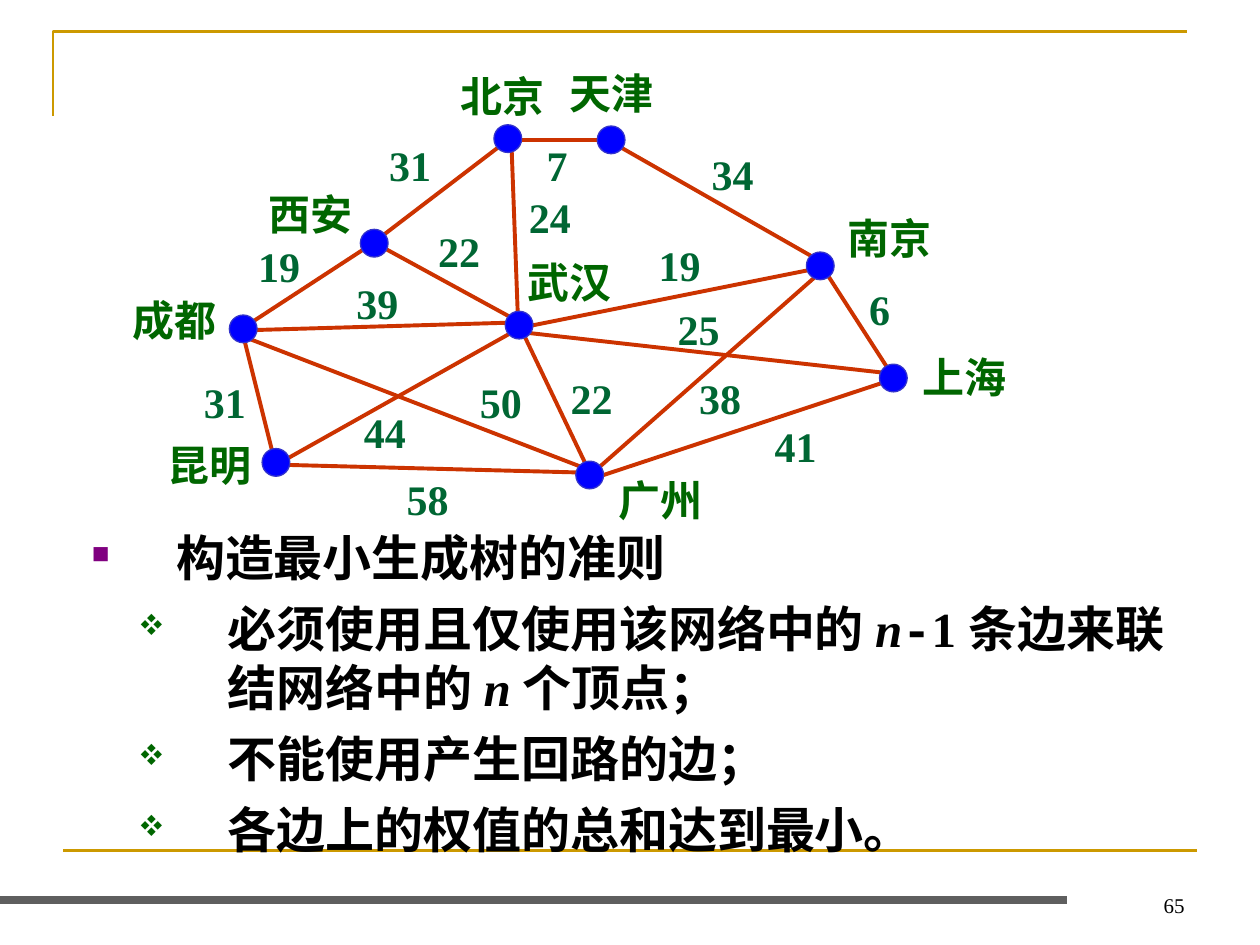
import pptx
import pptx.util
import pptx.dml.color
import pptx.enum.shapes
import pptx.enum.text
import pptx.oxml.ns
from lxml import etree

Inches = pptx.util.Inches
Pt = pptx.util.Pt
SERIF = "Times New Roman"
COLORS = {
    "gold": "CC9900", "gray": "5F5F5F", "edge": "CC3300", "dot": "0000FF",
    "rim": "3333CC", "city": "006600", "weight": "006633", "mark": "800080",
    "text": "000000",
}
DOT = 0.22

# City: dot corner, label corner
CITIES = {
    "武汉": ((4.01, 2.47), (4.09, 1.99)),
    "昆明": ((2.08, 3.56), (1.23, 3.44)),
    "南京": ((6.40, 2.00), (6.63, 1.64)),
    "北京": ((3.92, 0.99), (3.56, 0.51)),
    "上海": ((6.98, 2.89), (7.22, 2.74)),
    "成都": ((1.82, 2.50), (0.95, 2.29)),
    "西安": ((2.86, 1.82), (2.03, 1.45)),
    "广州": ((4.57, 3.66), (4.81, 3.72)),
    "天津": ((4.74, 1.00), (4.42, 0.49)),
}

# Edge: start, end, weight, label corner
EDGES = [
    ((4.14, 2.62), (4.68, 3.75), 22, (4.43, 2.91)),
    ((2.01, 2.55), (2.93, 1.95), 19, (1.95, 1.86)),
    ((3.05, 1.86), (3.98, 1.15), 31, (2.99, 1.06)),
    ((2.17, 3.62), (1.92, 2.62), 31, (1.52, 2.94)),
    ((2.28, 3.64), (4.06, 2.64), 44, (2.79, 3.18)),
    ((4.06, 1.16), (4.11, 2.51), 24, (4.10, 1.47)),
    ((4.19, 2.59), (6.44, 2.14), 19, (5.13, 1.85)),
    ((4.72, 3.74), (6.49, 2.18), 38, (5.45, 2.91)),
    ((6.56, 2.17), (7.05, 2.93), 6, (6.80, 2.20)),
    ((4.76, 3.78), (7.06, 3.02), 41, (6.05, 3.29)),
    ((2.28, 3.69), (4.60, 3.75), 58, (3.13, 3.71)),
    ((2.01, 2.62), (4.08, 2.56), 39, (2.73, 2.15)),
    ((3.05, 1.97), (4.13, 2.56), 22, (3.38, 1.74)),
    ((1.98, 2.69), (4.65, 3.72), 50, (3.71, 2.94)),
    ((4.17, 2.64), (7.03, 2.96), 25, (5.28, 2.36)),
    ((4.13, 1.11), (4.74, 1.11), 7, (4.24, 1.06)),
    ((4.91, 1.16), (6.47, 2.05), 34, (5.55, 1.13)),
]

# Rule: level, runs of (text, font, italic)
RULES = [
    (0, [("构造最小生成树的准则", "Arial", False)]),
    (1, [("必须使用且仅使用该网络中的 ", SERIF, False), ("n", SERIF, True),
         ("-", "Courier New", False), ("1 条边来联结网络中的 ", SERIF, False),
         ("n ", SERIF, True), ("个顶点；", SERIF, False)]),
    (1, [("不能使用产生回路的边；", SERIF, False)]),
    (1, [("各边上的权值的总和达到最小。", SERIF, False)]),
]

# Level: left margin, hanging indent, Wingdings bullet, colour, percent
LEVELS = [(0.67, 0.67, "n", "mark", 50), (1.08, 0.71, "v", "city", 60)]


def rgb(name):
    return pptx.dml.color.RGBColor.from_string(COLORS[name])


def style(run, size, color, font=SERIF, bold=True, italic=False):
    run.font.size = Pt(size)
    run.font.name = font
    run.font.bold = bold
    run.font.italic = italic
    run.font.color.rgb = rgb(color)


def add_line(shapes, start, end, color, width):
    kind = pptx.enum.shapes.MSO_CONNECTOR.STRAIGHT
    line = shapes.add_connector(kind, *map(Inches, start + end))
    line.line.color.rgb = rgb(color)
    line.line.width = Pt(width)
    props = line._element.spPr
    etree.SubElement(props, pptx.oxml.ns.qn("a:effectLst"))


def add_dot(shapes, spot):
    kind = pptx.enum.shapes.MSO_SHAPE.OVAL
    dot = shapes.add_shape(kind, *map(Inches, spot + (DOT, DOT)))
    dot.shadow.inherit = False
    dot.fill.solid()
    dot.fill.fore_color.rgb = rgb("dot")
    dot.line.color.rgb = rgb("rim")
    dot.line.width = Pt(0.75)


def add_label(shapes, spot, text, width, color):
    box = shapes.add_textbox(*map(Inches, spot + (width, 0.5)))
    frame = box.text_frame
    frame.text = text
    frame.word_wrap = False
    frame.auto_size = pptx.enum.text.MSO_AUTO_SIZE.SHAPE_TO_FIT_TEXT
    style(frame.paragraphs[0].runs[0], 24, color)


def set_bullet(para, level):
    left, hang, char, color, size = LEVELS[level]
    props = para._p.get_or_add_pPr()
    props.set("marL", str(Inches(left)))
    props.set("indent", str(-Inches(hang)))
    qn = pptx.oxml.ns.qn
    tint = etree.SubElement(props, qn("a:buClr"))
    etree.SubElement(tint, qn("a:srgbClr"), val=COLORS[color])
    etree.SubElement(props, qn("a:buSzPct"), val=str(size * 1000))
    etree.SubElement(props, qn("a:buFont"), typeface="Wingdings", charset="2")
    etree.SubElement(props, qn("a:buChar"), char=char)


def add_rules(shapes):
    box = shapes.add_textbox(*map(Inches, (0.63, 4.14, 8.83, 3.04)))
    frame = box.text_frame
    frame.word_wrap = True
    for index, (level, parts) in enumerate(RULES):
        para = frame.paragraphs[0] if index == 0 else frame.add_paragraph()
        para.level = level
        para.space_before = Pt(7)
        set_bullet(para, level)
        for text, font, italic in parts:
            run = para.add_run()
            run.text = text
            style(run, 28, "text", font, italic=italic)


def add_frame(shapes):
    pen = shapes.build_freeform(Inches(0.42), Inches(0.92))
    pen.add_line_segments(
        [(Inches(0.42), Inches(0.25)), (Inches(9.42), Inches(0.25))], close=False)
    corner = pen.convert_to_shape()
    corner.shadow.inherit = False
    corner.fill.background()
    corner.line.color.rgb = rgb("gold")
    corner.line.width = Pt(1.5)
    add_line(shapes, (0.5, 6.75), (9.5, 6.75), "gold", 1.5)
    add_line(shapes, (0, 7.14), (8.47, 7.14), "gray", 4.5)


def add_number(shapes):
    box = shapes.add_textbox(*map(Inches, (7.17, 6.83, 2.33, 0.5)))
    frame = box.text_frame
    frame.text = "65"
    frame.word_wrap = True
    frame.vertical_anchor = pptx.enum.text.MSO_ANCHOR.BOTTOM
    para = frame.paragraphs[0]
    para.alignment = pptx.enum.text.PP_ALIGN.RIGHT
    style(para.runs[0], 12, "text", bold=False)


def add_graph(shapes):
    for start, end, _, _ in EDGES:
        add_line(shapes, start, end, "edge", 2.25)
    for spot, _ in CITIES.values():
        add_dot(shapes, spot)
    for city, (_, spot) in CITIES.items():
        add_label(shapes, spot, city, 0.88, "city")
    for _, _, weight, spot in EDGES:
        width = 0.37 if weight < 10 else 0.54
        add_label(shapes, spot, str(weight), width, "weight")


def main():
    deck = pptx.Presentation()
    deck.slide_width, deck.slide_height = Inches(10), Inches(7.5)
    shapes = deck.slides.add_slide(deck.slide_layouts[6]).shapes
    # Page frame and number
    add_frame(shapes)
    add_number(shapes)
    # Rules below, network above
    add_rules(shapes)
    add_graph(shapes.add_group_shape().shapes)
    deck.save("out.pptx")


if __name__ == "__main__":
    main()
